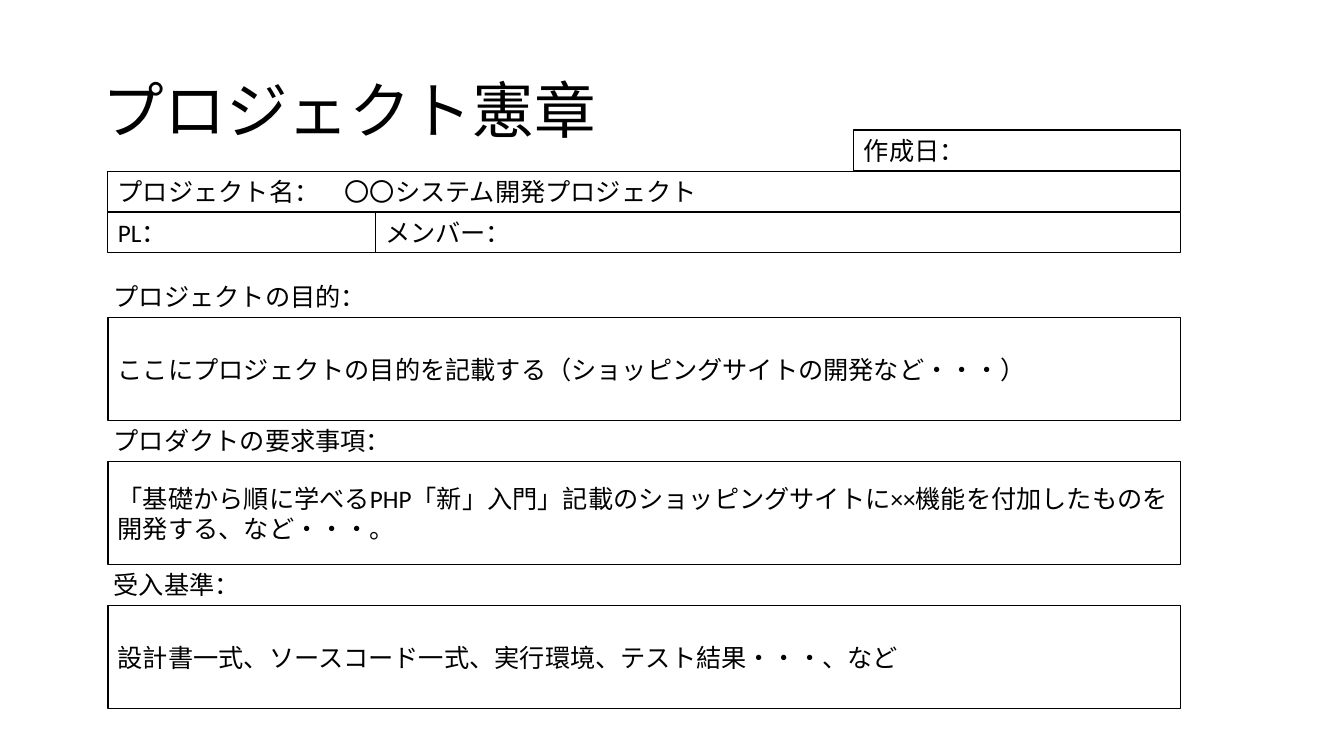
from pptx import Presentation
from pptx.dml.color import RGBColor
from pptx.enum.shapes import MSO_SHAPE
from pptx.enum.text import MSO_ANCHOR, MSO_AUTO_SIZE, PP_ALIGN
from pptx.util import Inches, Pt

LEFT, WIDTH = 1.07, 10.64
RIGHT = LEFT + WIDTH
ROW_HEIGHT = 0.4
PROJECT_TOP, ROW_PITCH = 1.7, 0.41
LEADER_WIDTH, DATE_WIDTH = 2.65, 3.24
SECTION_TOP, SECTION_PITCH = 2.74, 1.43
SECTION_HEIGHT = 1.02

SECTIONS = [
    ("プロジェクトの目的：",
     "ここにプロジェクトの目的を記載する（ショッピングサイトの開発など・・・）"),
    ("プロダクトの要求事項：",
     "「基礎から順に学べるPHP「新」入門」記載のショッピングサイトに××機能を付加したものを開発する、など・・・。"),
    ("受入基準：",
     "設計書一式、ソースコード一式、実行環境、テスト結果・・・、など"),
]


def color(value):
    return RGBColor.from_string(value)


class CharterSlide:
    """Hold the charter's style and slide, and add its elements."""

    font = "Calibri"
    ink = "000000"

    def __init__(self, presentation):
        self.slide = presentation.slides.add_slide(presentation.slide_layouts[5])

    def fill_text(self, frame, text, size=18, anchor=MSO_ANCHOR.TOP,
                  fit=MSO_AUTO_SIZE.NONE):
        frame.text = text
        frame.word_wrap = True
        frame.auto_size = fit
        frame.vertical_anchor = anchor
        paragraph = frame.paragraphs[0]
        paragraph.alignment = PP_ALIGN.LEFT
        for run in paragraph.runs:
            run.font.name = self.font
            run.font.size = Pt(size)
            run.font.color.rgb = color(self.ink)
        return paragraph

    def title(self, text, left, top, width, height):
        heading = self.slide.shapes.title
        heading.left, heading.top = Inches(left), Inches(top)
        heading.width, heading.height = Inches(width), Inches(height)
        paragraph = self.fill_text(heading.text_frame, text, 44,
                                   MSO_ANCHOR.MIDDLE)
        paragraph.line_spacing = 0.9

    def outline(self, left, top, width, height, line_width):
        box = self.slide.shapes.add_shape(
            MSO_SHAPE.RECTANGLE, Inches(left), Inches(top),
            Inches(width), Inches(height))
        box.shadow.inherit = False
        box.fill.background()
        box.line.color.rgb = color(self.ink)
        box.line.width = Pt(line_width)
        return box.text_frame

    def field(self, text, left, top, width):
        frame = self.outline(left, top, width, ROW_HEIGHT, 0.75)
        self.fill_text(frame, text, fit=MSO_AUTO_SIZE.SHAPE_TO_FIT_TEXT)

    def body(self, text, top):
        frame = self.outline(LEFT, top, WIDTH, SECTION_HEIGHT, 1)
        self.fill_text(frame, text, anchor=MSO_ANCHOR.MIDDLE)

    def label(self, text, top):
        caption = self.slide.shapes.add_textbox(
            Inches(LEFT - 0.04), Inches(top),
            Inches(WIDTH + 0.08), Inches(ROW_HEIGHT))
        self.fill_text(caption.text_frame, text,
                       fit=MSO_AUTO_SIZE.SHAPE_TO_FIT_TEXT)


def main():
    presentation = Presentation()
    presentation.slide_width = Inches(13.33)
    presentation.slide_height = Inches(7.5)

    charter = CharterSlide(presentation)
    charter.title("プロジェクト憲章", 0.92, 0.4, 11.5, 1.45)

    members_left = LEFT + LEADER_WIDTH
    team_top = PROJECT_TOP + ROW_PITCH
    charter.field("プロジェクト名：　〇〇システム開発プロジェクト",
                  LEFT, PROJECT_TOP, WIDTH)
    charter.field("PL：", LEFT, team_top, LEADER_WIDTH)
    charter.field("作成日：", RIGHT - DATE_WIDTH, PROJECT_TOP - ROW_PITCH,
                  DATE_WIDTH)
    charter.field("メンバー：", members_left, team_top, RIGHT - members_left)

    for index, (heading, content) in enumerate(SECTIONS):
        top = SECTION_TOP + index * SECTION_PITCH
        charter.label(heading, top)
        charter.body(content, top + ROW_PITCH)

    presentation.save("out.pptx")


if __name__ == "__main__":
    main()
